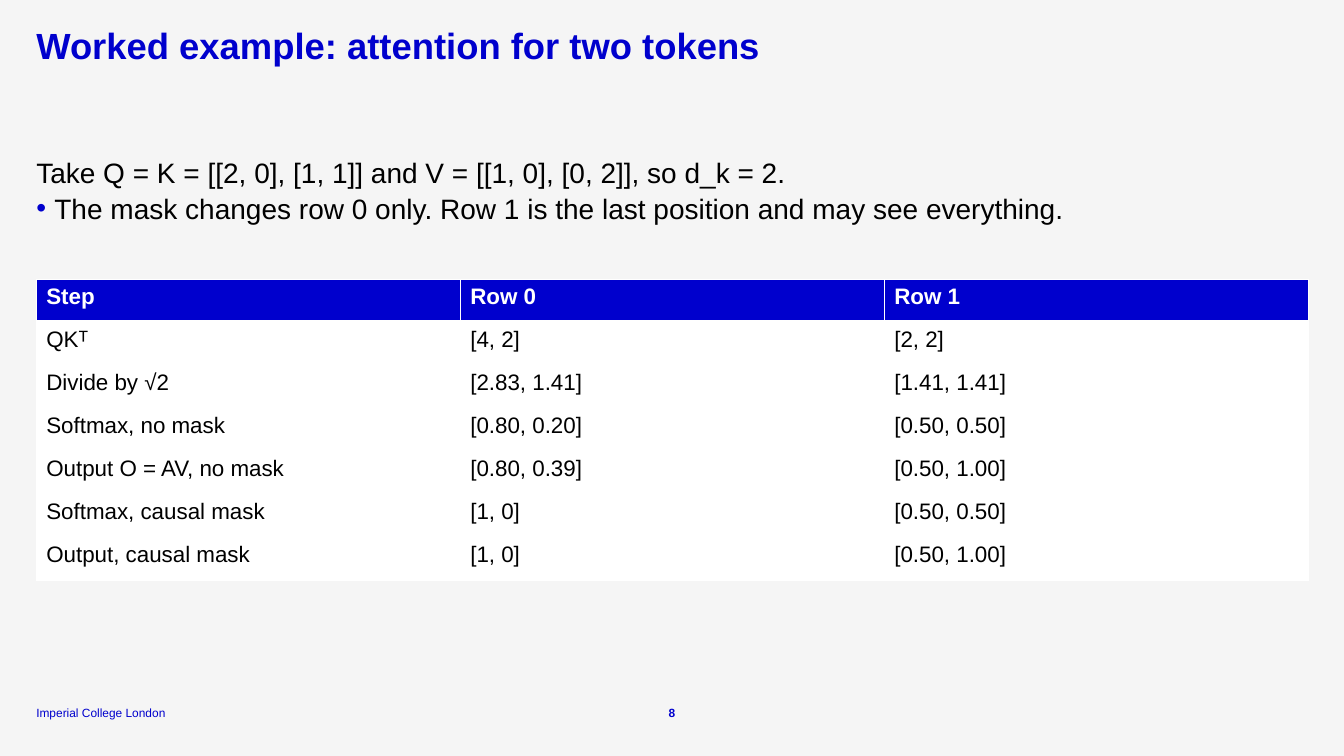
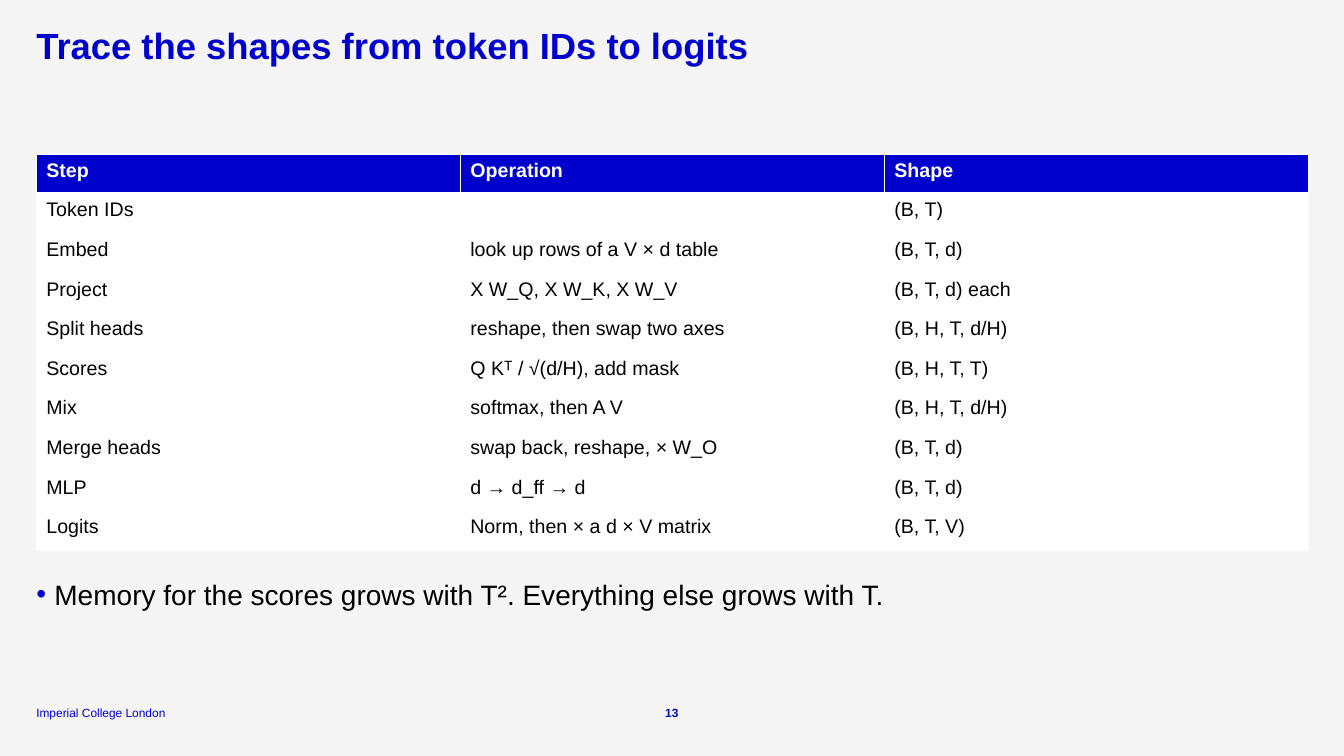
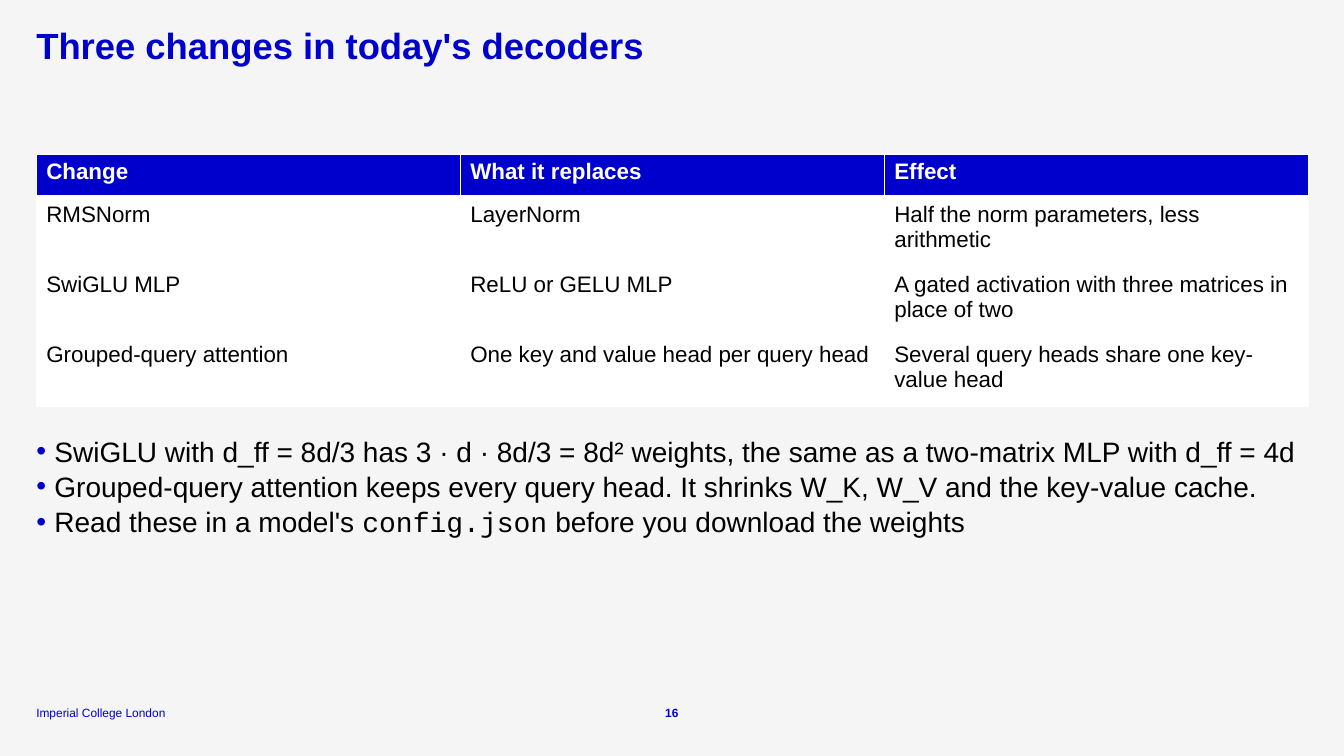
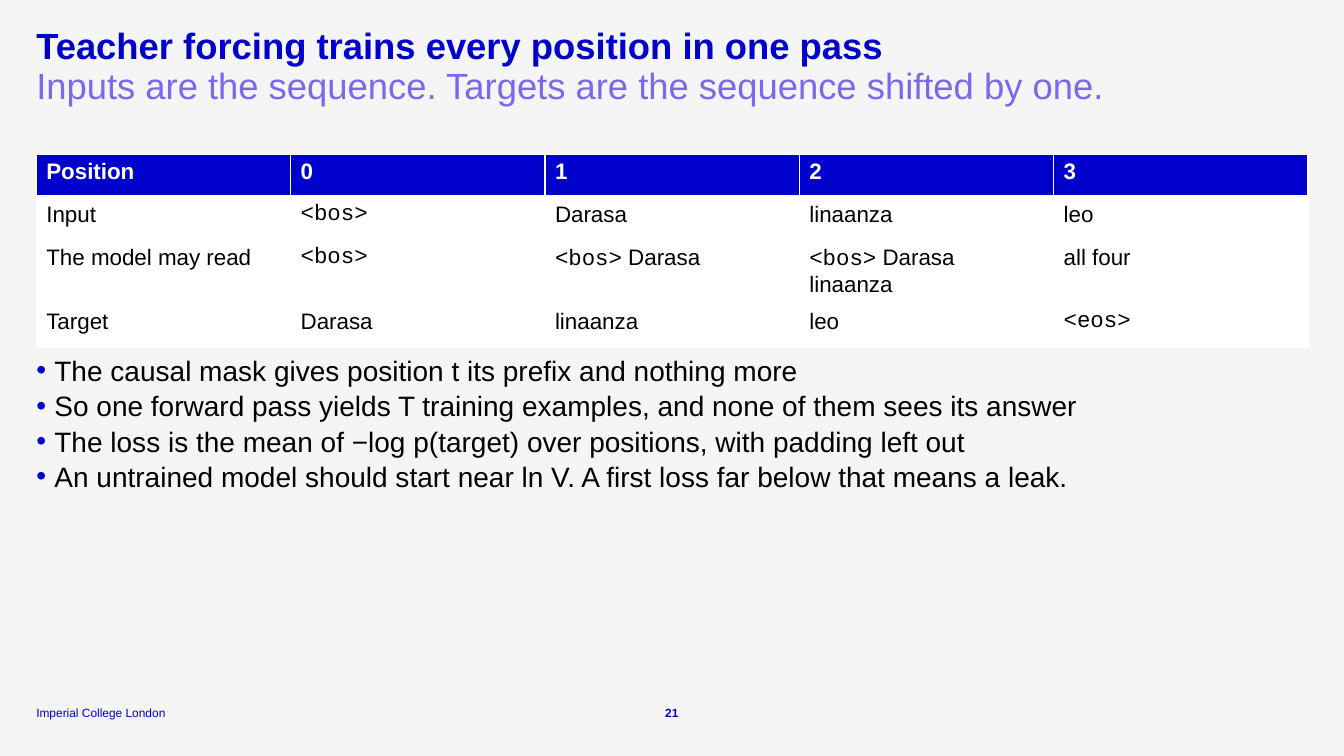
from dataclasses import dataclass

import pptx
import pptx.dml.color
import pptx.enum.text
import pptx.oxml
import pptx.oxml.ns
import pptx.presentation
import pptx.shapes.autoshape
import pptx.slide
import pptx.table
import pptx.text.text
import pptx.util

EMU_PER_PX = 3048
MARKER = "• "


@dataclass(frozen=True)
class Theme:
    backdrop: str = "F5F5F5"
    accent: str = "0000CD"
    subtitle: str = "7B68EE"
    ink: str = "000000"
    paper: str = "FFFFFF"
    sans: str = "Arial"
    mono: str = "Courier New"
    title_size: float = 26
    body_size: float = 20
    footer_size: float = 8.5
    title_spacing: float = 0.9
    body_spacing: float = 1.05


THEME = Theme()


@dataclass(frozen=True)
class Frame:
    left: int
    top: int
    width: int
    height: int

    def emu(self) -> tuple[int, int, int, int]:
        return px(self.left), px(self.top), px(self.width), px(self.height)


@dataclass(frozen=True)
class TextStyle:
    size: float
    color: str
    bold: bool = False
    spacing: float | None = None


@dataclass(frozen=True)
class Grid:
    top: int
    size: float
    header_height: int
    row_height: int
    rows: list[list[str]]


@dataclass(frozen=True)
class Lesson:
    number: int
    title: str
    grid: Grid
    body_top: int
    body_height: int
    body: list[str]
    subtitle: str = ""


LEFT = 108
WIDTH = 3786
CONTENT_TOP = 459
TITLE_FRAME = Frame(LEFT, 84, WIDTH, 123)
SUBTITLE_FRAME = Frame(LEFT, 204, WIDTH, 123)
FOOTER_FRAME = Frame(LEFT, 2097, 465, 45)
NUMBER_FRAME = Frame(1947, 2097, 105, 45)

TITLE_STYLE = TextStyle(THEME.title_size, THEME.accent, True, THEME.title_spacing)
SUBTITLE_STYLE = TextStyle(THEME.title_size, THEME.subtitle, False, THEME.title_spacing)
BODY_STYLE = TextStyle(THEME.body_size, THEME.ink, False, THEME.body_spacing)
FOOTER_STYLE = TextStyle(THEME.footer_size, THEME.accent)
NUMBER_STYLE = TextStyle(THEME.footer_size, THEME.accent, True)

LESSONS = [
    Lesson(
        8,
        "Worked example: attention for two tokens",
        Grid(831, 16, 128, 128, [
            ["Step", "Row 0", "Row 1"],
            ["QKᵀ", "[4, 2]", "[2, 2]"],
            ["Divide by √2", "[2.83, 1.41]", "[1.41, 1.41]"],
            ["Softmax, no mask", "[0.80, 0.20]", "[0.50, 0.50]"],
            ["Output O = AV, no mask", "[0.80, 0.39]", "[0.50, 1.00]"],
            ["Softmax, causal mask", "[1, 0]", "[0.50, 0.50]"],
            ["Output, causal mask", "[1, 0]", "[0.50, 1.00]"],
        ]),
        CONTENT_TOP, 297,
        [
            "Take Q = K = [[2, 0], [1, 1]] and V = [[1, 0], [0, 2]], so d_k = 2.",
            "• The mask changes row 0 only. Row 1 is the last position and may see everything.",
        ],
    ),
    Lesson(
        13,
        "Trace the shapes from token IDs to logits",
        Grid(CONTENT_TOP, 14, 118, 118, [
            ["Step", "Operation", "Shape"],
            ["Token IDs", "", "(B, T)"],
            ["Embed", "look up rows of a V × d table", "(B, T, d)"],
            ["Project", "X W_Q, X W_K, X W_V", "(B, T, d) each"],
            ["Split heads", "reshape, then swap two axes", "(B, H, T, d/H)"],
            ["Scores", "Q Kᵀ / √(d/H), add mask", "(B, H, T, T)"],
            ["Mix", "softmax, then A V", "(B, H, T, d/H)"],
            ["Merge heads", "swap back, reshape, × W_O", "(B, T, d)"],
            ["MLP", "d → d_ff → d", "(B, T, d)"],
            ["Logits", "Norm, then × a d × V matrix", "(B, T, V)"],
        ]),
        1713, 147,
        ["• Memory for the scores grows with T². Everything else grows with T."],
    ),
    Lesson(
        16,
        "Three changes in today's decoders",
        Grid(CONTENT_TOP, 16, 128, 208, [
            ["Change", "What it replaces", "Effect"],
            ["RMSNorm", "LayerNorm", "Half the norm parameters, less arithmetic"],
            ["SwiGLU MLP", "ReLU or GELU MLP",
             "A gated activation with three matrices in place of two"],
            ["Grouped-query attention", "One key and value head per query head",
             "Several query heads share one key-value head"],
        ]),
        1287, 552,
        [
            "• SwiGLU with d_ff = 8d/3 has 3 · d · 8d/3 = 8d² weights, "
            "the same as a two-matrix MLP with d_ff = 4d",
            "• Grouped-query attention keeps every query head. "
            "It shrinks W_K, W_V and the key-value cache.",
            "• Read these in a model's `config.json` before you download the weights",
        ],
    ),
    Lesson(
        21,
        "Teacher forcing trains every position in one pass",
        Grid(CONTENT_TOP, 16, 128, 128, [
            ["Position", "0", "1", "2", "3"],
            ["Input", "`<bos>`", "Darasa", "linaanza", "leo"],
            ["The model may read", "`<bos>`", "`<bos>` Darasa",
             "`<bos>` Darasa linaanza", "all four"],
            ["Target", "Darasa", "linaanza", "leo", "`<eos>`"],
        ]),
        1047, 594,
        [
            "• The causal mask gives position t its prefix and nothing more",
            "• So one forward pass yields T training examples, and none of them sees its answer",
            "• The loss is the mean of −log p(target) over positions, with padding left out",
            "• An untrained model should start near ln V. "
            "A first loss far below that means a leak.",
        ],
        "Inputs are the sequence. Targets are the sequence shifted by one.",
    ),
]


def px(length: int) -> int:
    return pptx.util.Emu(length * EMU_PER_PX)


def rgb(color: str) -> pptx.dml.color.RGBColor:
    return pptx.dml.color.RGBColor.from_string(color)


def add_bullet(para: pptx.text.text._Paragraph) -> None:
    properties = para._p.get_or_add_pPr()
    properties.set("marL", str(px(54)))
    properties.set("indent", str(-px(54)))
    namespace = pptx.oxml.ns.nsdecls("a")
    for xml in (
        f'<a:buClr {namespace}><a:srgbClr val="{THEME.accent}"/></a:buClr>',
        f'<a:buFont {namespace} typeface="{THEME.sans}"/>',
        f'<a:buChar {namespace} char="{MARKER.strip()}"/>',
    ):
        properties.append(pptx.oxml.parse_xml(xml))


def write_para(para: pptx.text.text._Paragraph, text: str, style: TextStyle) -> None:
    if text.startswith(MARKER):
        add_bullet(para)
    if style.spacing:
        para.line_spacing = style.spacing
    pieces = text.removeprefix(MARKER).split("`")
    para.text = pieces[0]
    for piece in pieces[1:]:
        if piece:
            para.add_run().text = piece
    if not text:
        para._p.get_or_add_endParaRPr().set("sz", str(int(style.size * 100)))
    fonts = [(THEME.sans, THEME.mono)[i % 2] for i, piece in enumerate(pieces) if piece]
    for span, font in zip(para.runs, fonts):
        span.font.name = font
        span.font.size = pptx.util.Pt(style.size)
        span.font.bold = style.bold
        span.font.color.rgb = rgb(style.color)


def add_text(
    page: pptx.slide.Slide, frame: Frame, lines: list[str], style: TextStyle
) -> pptx.shapes.autoshape.Shape:
    box = page.shapes.add_textbox(*frame.emu())
    body = box.text_frame
    body.word_wrap = True
    body.margin_left = body.margin_top = body.margin_right = body.margin_bottom = 0
    for index, line in enumerate(lines):
        para = body.add_paragraph() if index else body.paragraphs[0]
        write_para(para, line, style)
    return box


def add_footer(page: pptx.slide.Slide, number: int) -> None:
    owner = add_text(page, FOOTER_FRAME, ["Imperial College London"], FOOTER_STYLE)
    counter = add_text(page, NUMBER_FRAME, [str(number)], NUMBER_STYLE)
    counter.text_frame.paragraphs[0].alignment = pptx.enum.text.PP_ALIGN.CENTER
    for box in (owner, counter):
        box.text_frame.vertical_anchor = pptx.enum.text.MSO_ANCHOR.BOTTOM


def set_borders(cell: pptx.table._Cell, bottom: float) -> None:
    properties = cell._tc.get_or_add_tcPr()
    sides = {"lnL": 1, "lnR": 1, "lnT": 1, "lnB": bottom}
    for index, (side, width) in enumerate(sides.items()):
        properties.insert(index, pptx.oxml.parse_xml(
            f'<a:{side} {pptx.oxml.ns.nsdecls("a")} w="{pptx.util.Pt(width)}">'
            f'<a:solidFill><a:srgbClr val="{THEME.paper}"/></a:solidFill></a:{side}>'
        ))


def add_grid(page: pptx.slide.Slide, grid: Grid) -> None:
    row_count, column_count = len(grid.rows), len(grid.rows[0])
    height = grid.header_height + grid.row_height * (row_count - 1)
    frame = Frame(LEFT, grid.top, WIDTH, height)
    table = page.shapes.add_table(row_count, column_count, *frame.emu()).table
    table.horz_banding = False
    for column in table.columns:
        column.width = px(WIDTH // column_count)
    for index, texts in enumerate(grid.rows):
        header = index == 0
        table.rows[index].height = px(grid.header_height if header else grid.row_height)
        style = TextStyle(grid.size, THEME.paper if header else THEME.ink, header)
        for cell, text in zip(table.rows[index].cells, texts):
            cell.fill.solid()
            cell.fill.fore_color.rgb = rgb(THEME.accent if header else THEME.paper)
            set_borders(cell, 3 if header else 1)
            write_para(cell.text_frame.paragraphs[0], text, style)


def add_lesson(deck: pptx.presentation.Presentation, lesson: Lesson) -> None:
    page = deck.slides.add_slide(deck.slide_layouts[6])
    add_text(page, TITLE_FRAME, [lesson.title], TITLE_STYLE)
    if lesson.subtitle:
        add_text(page, SUBTITLE_FRAME, [lesson.subtitle], SUBTITLE_STYLE)
    body_frame = Frame(LEFT, lesson.body_top, WIDTH, lesson.body_height)
    add_text(page, body_frame, lesson.body, BODY_STYLE)
    add_grid(page, lesson.grid)
    add_footer(page, lesson.number)


def main() -> None:
    deck = pptx.Presentation()
    deck.slide_width, deck.slide_height = px(4000), px(2250)
    backdrop = deck.slide_master.background.fill
    backdrop.solid()
    backdrop.fore_color.rgb = rgb(THEME.backdrop)
    for lesson in LESSONS:
        add_lesson(deck, lesson)
    deck.save("out.pptx")


if __name__ == "__main__":
    main()
